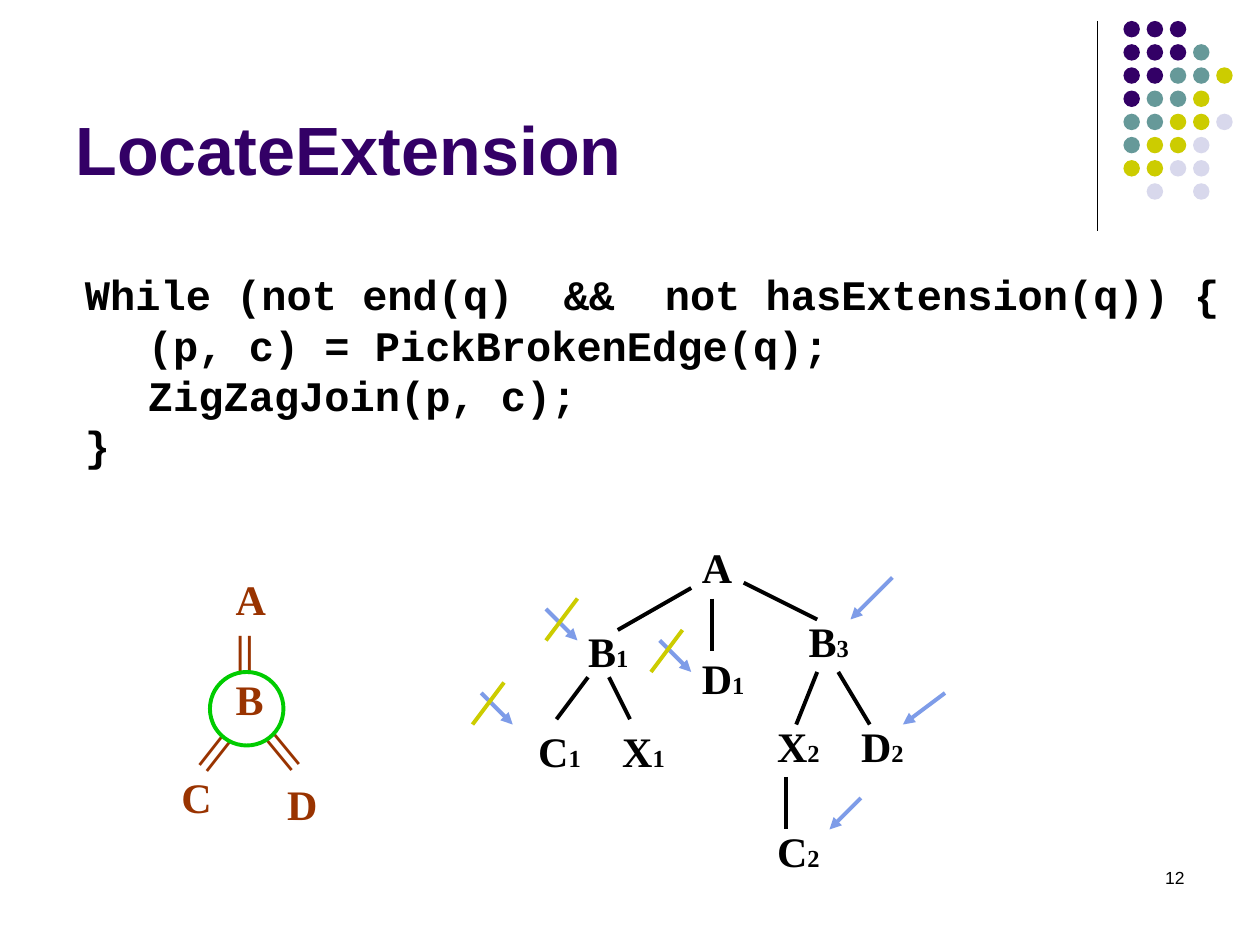
from pptx import Presentation
from pptx.dml.color import RGBColor
from pptx.enum.shapes import MSO_CONNECTOR, MSO_SHAPE
from pptx.enum.text import MSO_ANCHOR, MSO_AUTO_SIZE, PP_ALIGN
from pptx.oxml.ns import qn
from pptx.util import Pt
from lxml.etree import SubElement

COLORS = {
    "purple": "330066", "teal": "669999", "olive": "CCCC00", "lavender": "D8D8EC",
    "black": "000000", "brown": "993300", "green": "00CC00", "blue": "7E9CE8",
}

deck = Presentation()
deck.slide_width, deck.slide_height = Pt(720), Pt(540)
page = deck.slides.add_slide(deck.slide_layouts[5])


def write(box, lines, font="Times New Roman", size=24, color="black", bold=True,
          align=PP_ALIGN.LEFT, anchor=MSO_ANCHOR.TOP, wrap=False, spacing=None):
    """Fill a box with lines; each line is a list of (text, size or None) spans."""
    frame = box.text_frame
    frame.word_wrap = wrap
    frame.auto_size = MSO_AUTO_SIZE.NONE
    frame.vertical_anchor = anchor
    for index, line in enumerate(lines):
        para = frame.add_paragraph() if index else frame.paragraphs[0]
        para.alignment = align
        if spacing:
            para.line_spacing = Pt(spacing)
        for text, span_size in line:
            span = para.add_run()
            span.text = text
            span.font.name = font
            span.font.size = Pt(span_size or size)
            span.font.bold = bold
            span.font.color.rgb = RGBColor.from_string(COLORS[color])


def draw_line(start, end, color="black", width=2.25, arrow=False):
    line = page.shapes.add_connector(
        MSO_CONNECTOR.STRAIGHT, *[Pt(value) for value in (*start, *end)])
    line.line.color.rgb = RGBColor.from_string(COLORS[color])
    line.line.width = Pt(width)
    if arrow:
        SubElement(line.line._get_or_add_ln(), qn("a:tailEnd"), type="triangle")
    SubElement(line._element.spPr, qn("a:effectLst"))


# Corner decoration: rule and dot grid
draw_line((627, 12), (627, 132), width=0.75)
DOT_COLORS = {"p": "purple", "t": "teal", "o": "olive", "l": "lavender"}
DOT_ROWS = ["ppp", "pppt", "pptto", "ptto", "ttool", "tool", "ooll", " l l"]
for row, letters in enumerate(DOT_ROWS):
    for column, letter in enumerate(letters):
        if letter == " ":
            continue
        dot = page.shapes.add_shape(
            MSO_SHAPE.OVAL, Pt(642 + 13.25 * column), Pt(12 + 13.25 * row), Pt(9.4), Pt(9.4))
        dot.shadow.inherit = False
        dot.fill.solid()
        dot.fill.fore_color.rgb = RGBColor.from_string(COLORS[DOT_COLORS[letter]])
        dot.line.fill.background()

# Title
title = page.shapes.title
title.left, title.top, title.width, title.height = Pt(36), Pt(9.5), Pt(594), Pt(102)
write(title, [[("LocateExtension", None)]], font="Arial", size=39, color="purple",
      anchor=MSO_ANCHOR.BOTTOM, wrap=True)

# Pseudocode
CODE = [
    "While (not end(q)  &&  not hasExtension(q)) {",
    "\t(p, c) = PickBrokenEdge(q);",
    "\tZigZagJoin(p, c);",
    "}",
]
code_box = page.shapes.add_textbox(Pt(41.5), Pt(150), Pt(662.5), Pt(122.4))
write(code_box, [[(text, None)] for text in CODE], font="Courier New", spacing=28.8)

# Query pattern: left, top, width, height, rotation, lines
PATTERN = [
    (127.5, 324, 32, 93.6, 0, ["A", "||", "B"]),
    (113, 409.5, 24.5, 36, 38.1, ["||"]),
    (147, 409.5, 24.5, 36, 320.4, ["||"]),
    (96.5, 437.5, 32, 36, 0, ["C"]),
    (157, 441.5, 32, 36, 0, ["D"]),
]
for left, top, width, height, rotation, lines in PATTERN:
    box = page.shapes.add_textbox(Pt(left), Pt(top), Pt(width), Pt(height))
    box.rotation = rotation
    write(box, [[(text, None)] for text in lines], color="brown", spacing=28.8)

ring = page.shapes.add_shape(MSO_SHAPE.OVAL, Pt(120), Pt(384), Pt(42), Pt(42))
ring.shadow.inherit = False
ring.fill.background()
ring.line.color.rgb = RGBColor.from_string(COLORS["green"])
ring.line.width = Pt(2.25)

# Data tree nodes: letter, index, left, top
NODES = [
    ("A", "", 394, 306), ("B", "1", 329, 354), ("D", "1", 394, 369.5), ("B", "3", 455, 348),
    ("C", "1", 300.5, 411), ("X", "1", 348.5, 411),
    ("X", "2", 437, 408), ("D", "2", 485, 408), ("C", "2", 437, 468),
]
for letter, index, left, top in NODES:
    node = page.shapes.add_textbox(Pt(left), Pt(top), Pt(38.5 if index else 32), Pt(36))
    spans = [(letter, None)] + ([(index, 14)] if index else [])
    write(node, [spans], spacing=28.8)

# Data tree edges
EDGES = [
    ((395, 336), (353, 360)), ((425, 333), (467, 354)), ((407, 342), (407, 372)),
    ((336, 387), (318, 411)), ((348, 387), (360, 411)),
    ((467, 384), (455, 414)), ((479, 384), (497, 414)), ((449, 444), (449, 474)),
]
for start, end in EDGES:
    draw_line(start, end)

# Rejected pointers: arrow crossed by a stroke
for (left, top), stroke_left in [((312, 348), 312), ((275, 396), 270), ((377, 366), 372)]:
    draw_line((left, top), (left + 18, top + 18), "blue", arrow=True)
    draw_line((stroke_left + 18, top - 6), (stroke_left, top + 18), "olive")

# Accepted pointers
for start, end in [((510, 330), (486, 354)), ((540, 396), (516, 414)), ((492, 456), (474, 474))]:
    draw_line(start, end, "blue", arrow=True)

# Page number
number_box = page.shapes.add_textbox(Pt(516), Pt(492), Pt(168), Pt(36))
write(number_box, [[("12", None)]], font="Arial", size=10, bold=False,
      align=PP_ALIGN.RIGHT, wrap=True)

deck.save("out.pptx")
